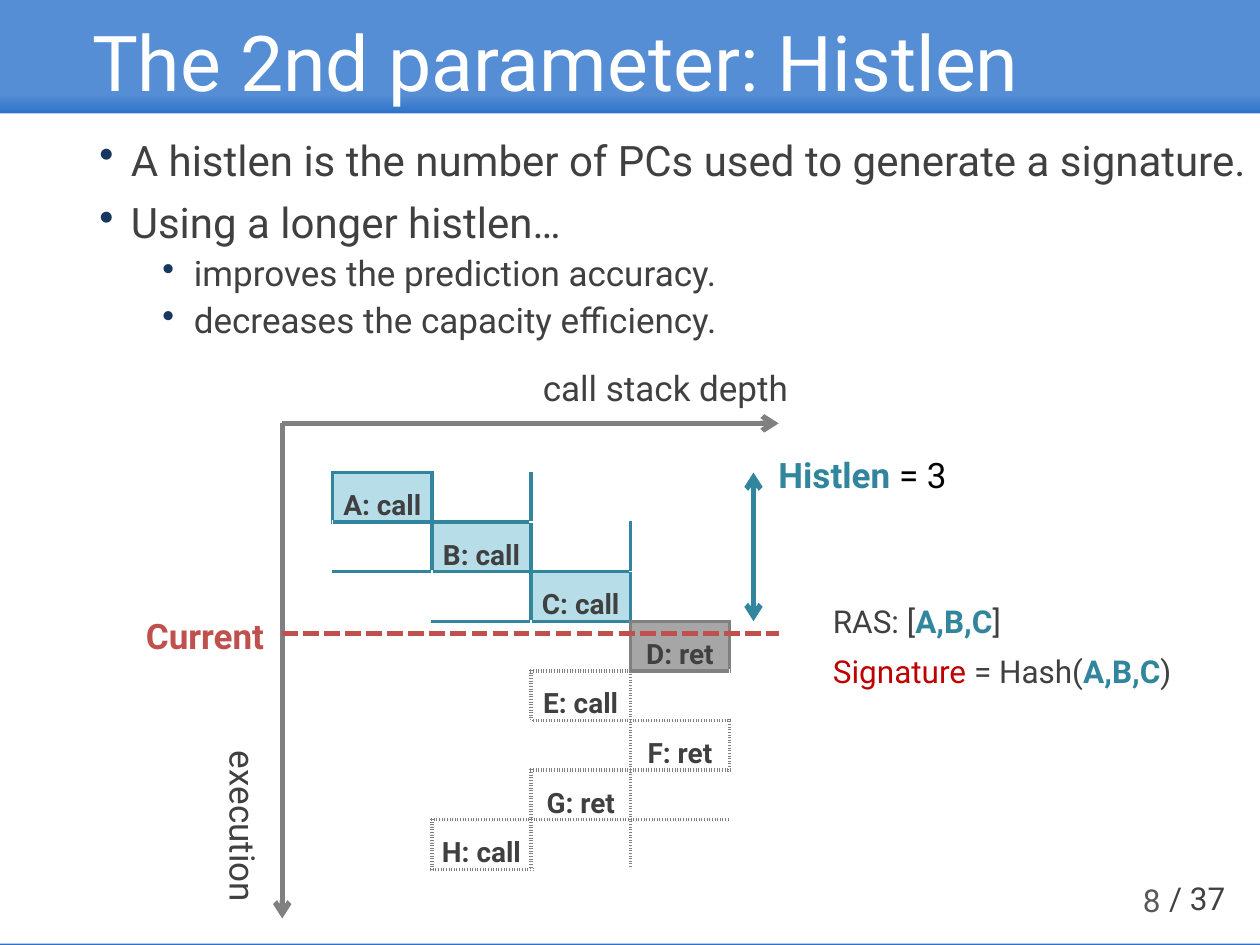
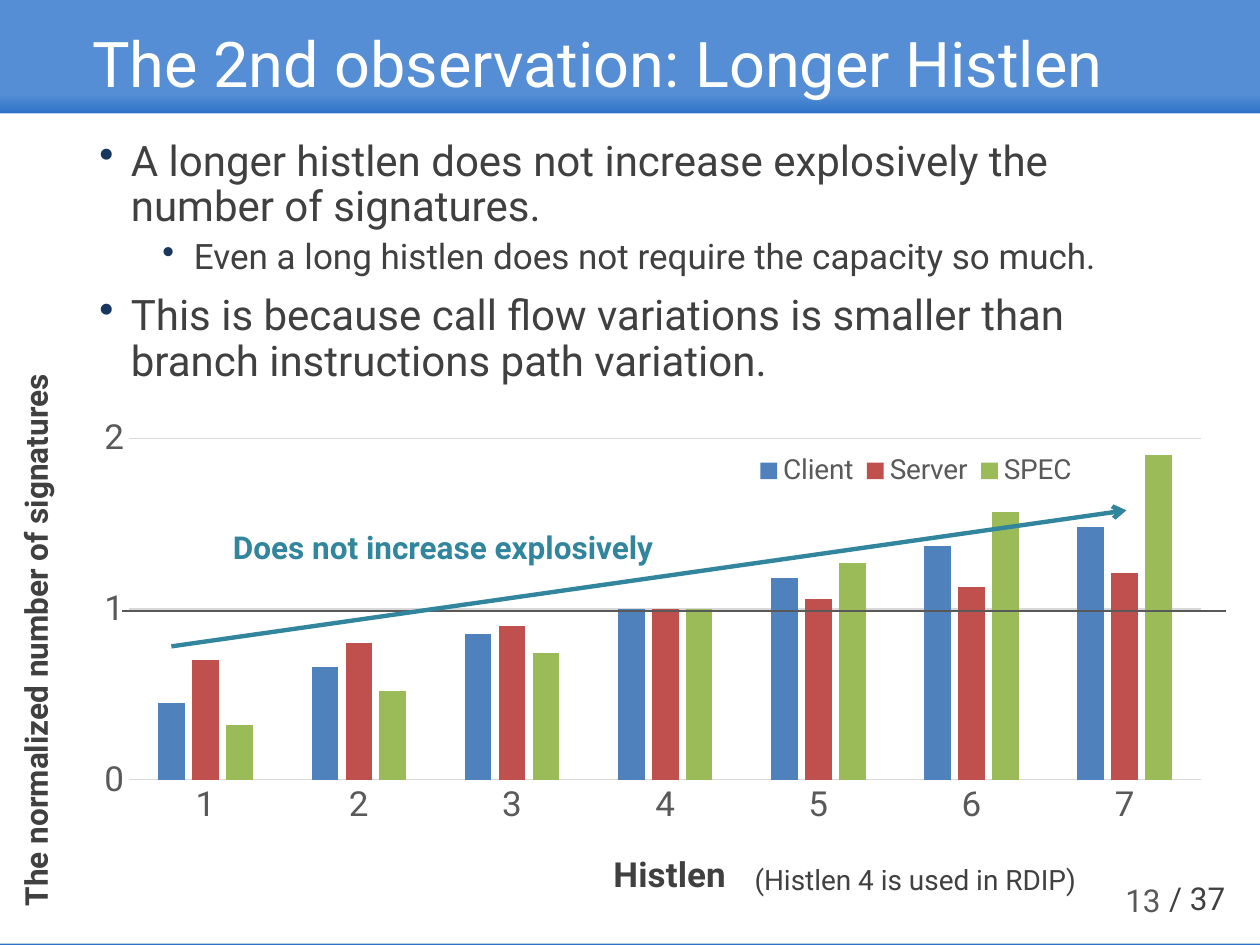
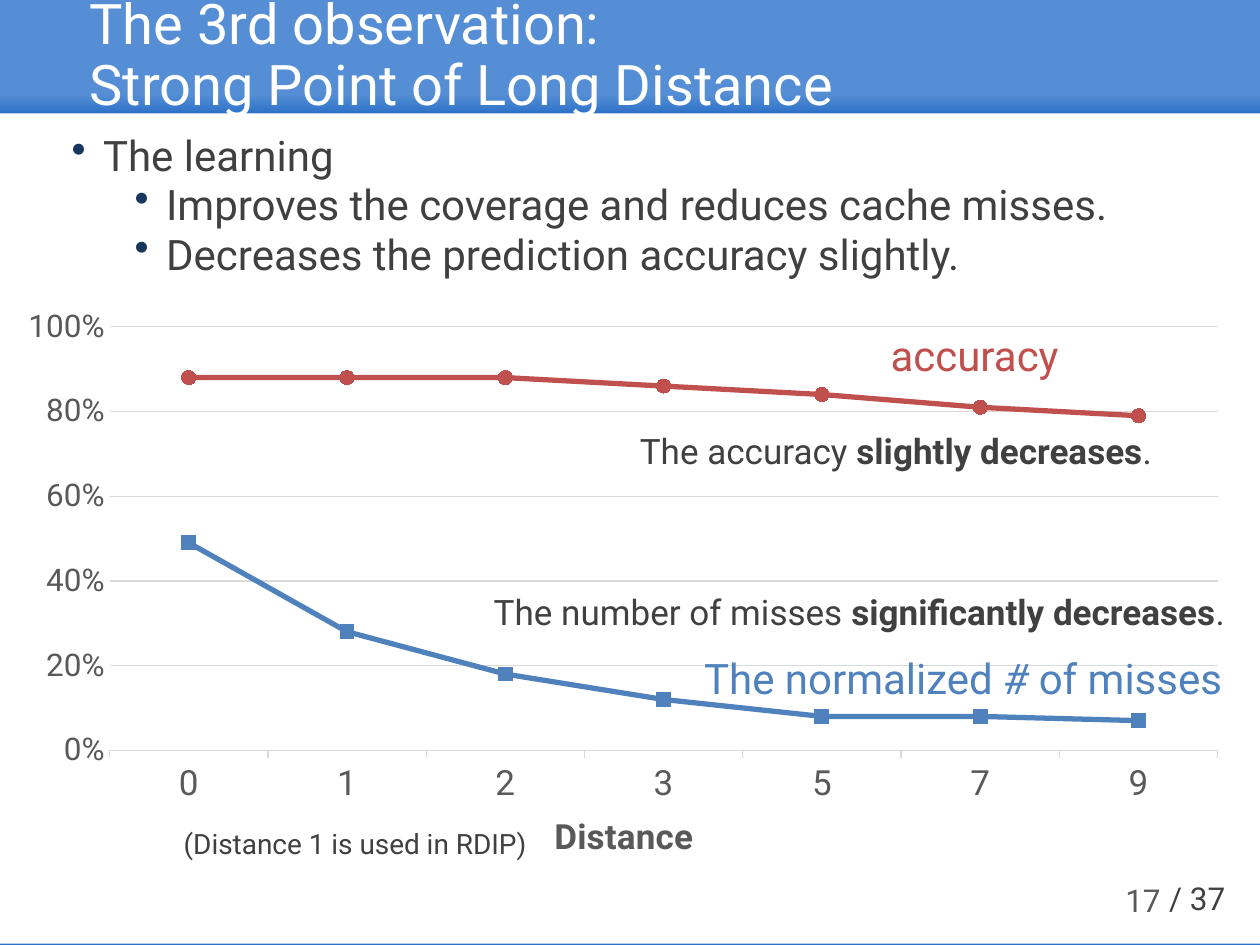
from lxml import etree
from pptx import Presentation
from pptx.chart.data import CategoryChartData
from pptx.dml.color import RGBColor
from pptx.enum.chart import XL_CHART_TYPE, XL_LEGEND_POSITION, XL_MARKER_STYLE, XL_TICK_MARK
from pptx.enum.dml import MSO_LINE
from pptx.enum.shapes import MSO_CONNECTOR, MSO_SHAPE
from pptx.enum.text import MSO_ANCHOR, PP_ALIGN
from pptx.oxml.ns import qn
from pptx.util import Inches, Pt

COLUMNS, LINES = XL_CHART_TYPE.COLUMN_CLUSTERED, XL_CHART_TYPE.LINE_MARKERS
LEGEND_BOTTOM = XL_LEGEND_POSITION.BOTTOM
SQUARE, CIRCLE = XL_MARKER_STYLE.SQUARE, XL_MARKER_STYLE.CIRCLE
TICK_NONE, TICK_OUT = XL_TICK_MARK.NONE, XL_TICK_MARK.OUTSIDE
DASH = MSO_LINE.SQUARE_DOT
STRAIGHT, RECTANGLE = MSO_CONNECTOR.STRAIGHT, MSO_SHAPE.RECTANGLE
TOP, MIDDLE, BOTTOM = MSO_ANCHOR.TOP, MSO_ANCHOR.MIDDLE, MSO_ANCHOR.BOTTOM
LEFT, CENTER, RIGHT = PP_ALIGN.LEFT, PP_ALIGN.CENTER, PP_ALIGN.RIGHT

FONT = "Roboto"
BAND, BAND_DARK, WHITE = "558ED5", "2D72C8", "FFFFFF"
INK, MUTED, GRAY, GRID, BLACK = "404040", "595959", "808080", "D9D9D9", "000000"
BULLET, TEAL, PALE_TEAL, SILVER = "17375E", "31859C", "B7DEE8", "A6A6A6"
BLUE, RED, GREEN, DEEP_RED = "4F81BD", "C0504D", "9BBB59", "C00000"

# side: (row step, column step, opposite side), in the order the file format asks for
SIDES = {"L": (0, -1, "R"), "R": (0, 1, "L"), "T": (-1, 0, "B"), "B": (1, 0, "T")}
CALL_STYLES = {
    "history": (PALE_TEAL, TEAL, "solid"),
    "current": (SILVER, GRAY, "solid"),
    "future": (WHITE, GRAY, "sysDot"),
}
CALLS = [
    ("A: call", 0, "history"), ("B: call", 1, "history"), ("C: call", 2, "history"),
    ("D: ret", 3, "current"), ("E: call", 2, "future"), ("F: ret", 3, "future"),
    ("G: ret", 2, "future"), ("H: call", 1, "future"),
]


def rgb(color):
    """Turn a hex string into a colour."""
    return RGBColor.from_string(color)


def box(left, top, width, height):
    """Give four lengths in inches."""
    return Inches(left), Inches(top), Inches(width), Inches(height)


def add_xml(parent, tag, **attributes):
    """Append an XML child and return it."""
    return etree.SubElement(parent, qn(tag), attributes)


def add_color(parent, color):
    """Append a solid fill."""
    add_xml(add_xml(parent, "a:solidFill"), "a:srgbClr", val=color)


def place(element, index, **fractions):
    """Lay out a chart part by fractions of the chart's size."""
    layout = element.find(qn("c:layout"))
    if layout is None:
        layout = etree.Element(qn("c:layout"))
        element.insert(index, layout)
    manual = add_xml(layout, "c:manualLayout")
    if element.tag == qn("c:plotArea"):
        add_xml(manual, "c:layoutTarget", val="inner")
    for mode in ("xMode", "yMode"):
        add_xml(manual, f"c:{mode}", val="edge")
    for name, value in fractions.items():
        add_xml(manual, f"c:{name}", val=str(value))


def style_font(font, size, color, bold=False):
    """Set the shared typeface with a size, colour and weight."""
    font.name, font.size, font.bold = FONT, Pt(size), bold
    font.color.rgb = rgb(color)


def write(paragraph, content, size, color, bold=False):
    """Fill a paragraph from a string or from (text, changes) runs."""
    style_font(paragraph.font, size, color, bold)
    if isinstance(content, str):
        paragraph.text = content
        return
    for text, changes in content:
        run = paragraph.add_run()
        run.text = text
        if "color" in changes:
            run.font.color.rgb = rgb(changes["color"])
        if "bold" in changes:
            run.font.bold = changes["bold"]
        if "italic" in changes:
            run.font.italic = changes["italic"]


class Deck:
    """Hold the presentation's style and the current slide."""

    def __init__(self):
        """Start a 4:3 presentation."""
        self.presentation = Presentation()
        self.presentation.slide_width = Inches(10)
        self.presentation.slide_height = Inches(7.5)
        self.slide = None

    def start_slide(self, title, number, title_size, title_left=0.69, title_top=0.15):
        """Add a slide with its band, title and page number."""
        self.slide = self.presentation.slides.add_slide(self.presentation.slide_layouts[6])
        background = self.slide.background.fill
        background.solid()
        background.fore_color.rgb = rgb(BAND)
        shade = self.rectangle(0, 0.75, 10, 0.15, BAND).fill
        shade.gradient()
        shade.gradient_angle = 270
        for stop, color in zip(shade.gradient_stops, (BAND, BAND_DARK)):
            stop.color.rgb = rgb(color)
        self.rectangle(0, 0.9, 10, 6.6, BAND_DARK)
        self.rectangle(0, 0.9, 10, 6.59, WHITE)
        self.text(9.18, 6.93, 0.82, 0.4, "/ 37", 18)
        self.text(7.06, 6.94, 2.25, 0.4, str(number), 18, MUTED, align=RIGHT, anchor=MIDDLE)
        self.text(title_left, title_top, 8.62, 0.76, title, title_size, WHITE,
                  anchor=MIDDLE, inset=0.04, spacing=0.9)

    def rectangle(self, left, top, width, height, color):
        """Add a plain filled rectangle."""
        shape = self.slide.shapes.add_shape(RECTANGLE, *box(left, top, width, height))
        shape.shadow.inherit = False
        shape.fill.solid()
        shape.fill.fore_color.rgb = rgb(color)
        shape.line.fill.background()
        return shape

    def text(self, left, top, width, height, content, size, color=INK, bold=False,
             align=LEFT, anchor=TOP, inset=None, wrap=True, rotation=0, spacing=None):
        """Add a one-paragraph text box."""
        shape = self.slide.shapes.add_textbox(*box(left, top, width, height))
        shape.rotation = rotation
        frame = shape.text_frame
        frame.word_wrap, frame.vertical_anchor = wrap, anchor
        if inset is not None:
            frame.margin_left = frame.margin_right = Inches(inset)
            frame.margin_top = frame.margin_bottom = Inches(0.04)
        paragraph = frame.paragraphs[0]
        paragraph.alignment, paragraph.line_spacing = align, spacing
        write(paragraph, content, size, color, bold)

    def bullets(self, left, top, width, height, items, sizes=(24, 20), spacing=0.9):
        """Add a bulleted list of (level, text) items."""
        frame = self.slide.shapes.add_textbox(*box(left, top, width, height)).text_frame
        frame.word_wrap = True
        for index, (level, content) in enumerate(items):
            paragraph = frame.add_paragraph() if index else frame.paragraphs[0]
            paragraph.level, paragraph.line_spacing = level, spacing
            if index:
                paragraph.space_before = Pt((10, 5)[level])
            properties = paragraph._p.get_or_add_pPr()
            properties.set("marL", str(Inches((0.25, 0.75)[level])))
            properties.set("indent", str(-Inches(0.25)))
            add_xml(add_xml(properties, "a:buClr"), "a:srgbClr", val=BULLET)
            add_xml(properties, "a:buChar", char="•")
            write(paragraph, content, sizes[level], INK)

    def line(self, start, end, color, width, heads=(), dash=None):
        """Add a straight line, with arrowheads at the named ends."""
        connector = self.slide.shapes.add_connector(
            STRAIGHT, *(Inches(value) for value in (*start, *end)))
        connector.line.color.rgb = rgb(color)
        connector.line.width = Pt(width)
        if dash:
            connector.line.dash_style = dash
        for head in heads:
            add_xml(connector.line._get_or_add_ln(), f"a:{head}", type="arrow")
        add_xml(connector._element.spPr, "a:effectLst")

    def call_table(self, left, top, width, height, calls, columns):
        """Add a table with one call a row, placed by its stack depth."""
        table = self.slide.shapes.add_table(
            len(calls), columns, *box(left, top, width, height)).table
        table.first_row = table.horz_banding = False
        labels, borders = {}, {}
        for row, (label, depth, kind) in enumerate(calls):
            fill, color, dash = CALL_STYLES[kind]
            labels[row, depth] = label, fill
            for side, (down, across, opposite) in SIDES.items():
                borders[row, depth, side] = color, dash
                borders[row + down, depth + across, opposite] = color, dash
        for row in range(len(calls)):
            for column in range(columns):
                cell = table.cell(row, column)
                label, fill = labels.get((row, column), ("", WHITE))
                cell.fill.solid()
                cell.fill.fore_color.rgb = rgb(fill)
                cell.margin_left = cell.margin_right = cell.margin_top = Inches(0.04)
                cell.margin_bottom = 0
                cell.vertical_anchor = BOTTOM
                paragraph = cell.text_frame.paragraphs[0]
                paragraph.alignment = CENTER
                write(paragraph, label, 16, INK, True)
                edges = [(side, *borders[row, column, side])
                         for side in SIDES if (row, column, side) in borders]
                for index, (side, color, dash) in enumerate(edges):
                    edge = etree.Element(qn(f"a:ln{side}"), w=str(Pt(2.25)))
                    add_color(edge, color)
                    add_xml(edge, "a:prstDash", val=dash)
                    cell._tc.get_or_add_tcPr().insert(index, edge)

    def chart(self, kind, frame, categories, series, title, title_color, title_at,
              plot, maximum, step, number_format, value_size, tick):
        """Add a chart with the shared axis style and a title below the plot."""
        data = CategoryChartData()
        data.categories = categories
        for name, values, _ in series:
            data.add_series(name, values)
        chart = self.slide.shapes.add_chart(kind, *box(*frame), data).chart
        style_font(chart.font, 20, BLACK)
        chart.has_legend = False
        chart.has_title = True
        write(chart.chart_title.text_frame.paragraphs[0], title, 20, title_color, True)
        place(chart.chart_title._element, 1, **title_at)
        place(chart._chartSpace.chart.plotArea, 0, **plot)
        chart.plots[0].vary_by_categories = False
        for axis, size in ((chart.category_axis, 20), (chart.value_axis, value_size)):
            style_font(axis.tick_labels.font, size, MUTED)
            axis.minor_tick_mark = TICK_NONE
        chart.category_axis.major_tick_mark = tick
        chart.category_axis.format.line.color.rgb = rgb(GRID)
        chart.category_axis.format.line.width = Pt(0.75)
        axis = chart.value_axis
        axis.minimum_scale, axis.maximum_scale, axis.major_unit = 0, maximum, step
        axis.major_tick_mark = TICK_NONE
        axis.format.line.fill.background()
        axis.major_gridlines.format.line.color.rgb = rgb(GRID)
        axis.major_gridlines.format.line.width = Pt(0.75)
        axis.tick_labels.number_format = number_format
        axis.tick_labels.number_format_is_linked = False
        return chart

    def column_chart(self, frame, categories, series, legend_at, **options):
        """Add a clustered column chart with a legend."""
        chart = self.chart(COLUMNS, frame, categories, series, tick=TICK_NONE, **options)
        chart.plots[0].gap_width, chart.plots[0].overlap = 219, -27
        for drawn, (_, _, color) in zip(chart.plots[0].series, series):
            drawn.format.fill.solid()
            drawn.format.fill.fore_color.rgb = rgb(color)
        chart.has_legend = True
        chart.legend.position = LEGEND_BOTTOM
        chart.legend.include_in_layout = False
        style_font(chart.legend.font, 16, MUTED)
        place(chart.legend._element, 1, **legend_at)

    def line_chart(self, frame, categories, series, markers, **options):
        """Add a line chart with one marker style a series."""
        chart = self.chart(LINES, frame, categories, series, tick=TICK_OUT, **options)
        for drawn, (_, _, color), marker in zip(chart.plots[0].series, series, markers):
            drawn.smooth = False
            drawn.format.line.color.rgb = rgb(color)
            drawn.format.line.width = Pt(3)
            drawn.marker.style, drawn.marker.size = marker, 8
            drawn.marker.format.fill.solid()
            drawn.marker.format.fill.fore_color.rgb = rgb(color)
            drawn.marker.format.line.color.rgb = rgb(color)


def histlen_parameter(deck):
    """Build the slide that explains histlen."""
    deck.start_slide("The 2nd parameter: Histlen", 8, 44)
    deck.call_table(2.64, 3.75, 3.15, 3.15, CALLS, 4)
    deck.bullets(0.69, 1.06, 9.31, 2, [
        (0, "A histlen is the number of PCs used to generate a signature."),
        (0, "Using a longer histlen…"),
        (1, "improves the prediction accuracy."),
        (1, "decreases the capacity efficiency."),
    ])
    origin = (2.24, 3.36)
    deck.line(origin, (2.24, 7.29), GRAY, 3, ["tailEnd"])
    deck.text(1.18, 6.31, 1.38, 0.54, "execution", 20, inset=0.07, wrap=False, rotation=90)
    deck.line(origin, (6.18, 3.36), GRAY, 3, ["tailEnd"])
    deck.text(4.21, 2.86, 2.36, 0.44, "call stack depth", 20)
    deck.line((5.98, 3.75), (5.98, 4.93), TEAL, 3, ["headEnd", "tailEnd"])
    teal_bold = {"color": TEAL, "bold": True}
    deck.text(6.08, 3.55, 2.66, 0.44, [("Histlen", teal_bold), (" = 3", {})], 20, BLACK)
    deck.text(1.06, 4.83, 1.2, 0.44, "Current", 20, RED, True, wrap=False)
    deck.line((2.24, 5.03), (6.18, 5.03), RED, 3, dash=DASH)
    deck.text(6.57, 4.93, 3.05, 0.79, [
        ("Signature", {"color": DEEP_RED}), (" = Hash(", {}), ("A,B,C", teal_bold), (")", {}),
    ], 18, anchor=MIDDLE, inset=0.04, wrap=False)
    deck.text(6.57, 4.68, 2.66, 0.49, [("RAS: [", {}), ("A,B,C", teal_bold), ("]", {})], 18,
              anchor=MIDDLE, inset=0.04, wrap=False)


def longer_histlen(deck):
    """Build the slide on the number of signatures."""
    deck.start_slide("The 2nd observation: Longer Histlen", 13, 36)
    deck.bullets(0.69, 1.06, 8.62, 2.1, [
        (0, "A longer histlen does not increase explosively the number of signatures."),
        (1, "Even a long histlen does not require the capacity so much."),
        (0, "This is because call flow variations is smaller than branch instructions "
            "path variation."),
    ])
    deck.column_chart(
        (0.47, 3.16, 9.25, 4.04), list("1234567"), [
            ("Client", (0.45, 0.66, 0.85, 1, 1.18, 1.37, 1.48), BLUE),
            ("Server", (0.7, 0.8, 0.9, 1, 1.06, 1.13, 1.21), RED),
            ("SPEC", (0.32, 0.52, 0.74, 1, 1.27, 1.57, 1.9), GREEN),
        ],
        legend_at={"x": 0.59, "y": 0.1, "w": 0.29, "h": 0.09},
        title="Histlen", title_color=INK, title_at={"x": 0.47, "y": 0.89},
        plot={"x": 0.06, "y": 0.08, "w": 0.92, "h": 0.68},
        maximum=2, step=1, number_format="0", value_size=20)
    deck.text(-2.08, 4.73, 4.72, 0.4, "The normalized number of signatures", 18,
              bold=True, rotation=270)
    deck.text(1.75, 4.14, 4.23, 0.4, "Does not increase explosively", 18, TEAL, True)
    deck.line((0.97, 4.85), (9.73, 4.85), MUTED, 0.75)
    deck.line((1.36, 5.13), (8.94, 4.05), TEAL, 2.5, ["tailEnd"])
    deck.text(5.89, 6.8, 2.85, 0.37, "(Histlen 4 is used in RDIP)", 16)


def long_distance(deck):
    """Build the slide on accuracy and misses."""
    deck.start_slide("The 3rd observation:\nStrong Point of Long Distance", 17, 32, 0.67, 0.07)
    deck.bullets(0.47, 1.06, 9.53, 1.3, [
        (0, "The learning"),
        (1, "Improves the coverage and reduces cache misses."),
        (1, "Decreases the prediction accuracy slightly."),
    ], sizes=(24, 24), spacing=0.8)
    deck.line_chart(
        (0, 2.37, 9.67, 4.53), list("0123579"), [
            ("Series 1", (0.49, 0.28, 0.18, 0.12, 0.08, 0.08, 0.07), BLUE),
            ("Series 2", (0.88, 0.88, 0.88, 0.86, 0.84, 0.81, 0.79), RED),
        ],
        markers=(SQUARE, CIRCLE),
        title="Distance", title_color=MUTED, title_at={"x": 0.45, "y": 0.9},
        plot={"x": 0.09, "y": 0.05, "w": 0.91, "h": 0.75},
        maximum=1, step=0.2, number_format="0%", value_size=18)
    deck.text(6.97, 2.57, 1.77, 0.5, "accuracy", 24, RED)
    deck.text(5.49, 5.13, 4.33, 0.5, [
        ("The normalized ", {}), ("# ", {"italic": True}), ("of misses", {}),
    ], 24, BLUE)
    for left, top, width, subject, change in (
        (4.98, 3.36, 5.02, "The accuracy ", "slightly decreases"),
        (3.82, 4.64, 6.18, "The number of misses ", "significantly decreases"),
    ):
        deck.text(left, top, width, 0.44,
                  [(subject, {}), (change, {"bold": True}), (".", {})], 20)
    deck.text(1.36, 6.51, 3.54, 0.37, "(Distance 1 is used in RDIP)", 16)


def main():
    """Build and save the presentation."""
    deck = Deck()
    histlen_parameter(deck)
    longer_histlen(deck)
    long_distance(deck)
    deck.presentation.save("out.pptx")


if __name__ == "__main__":
    main()
